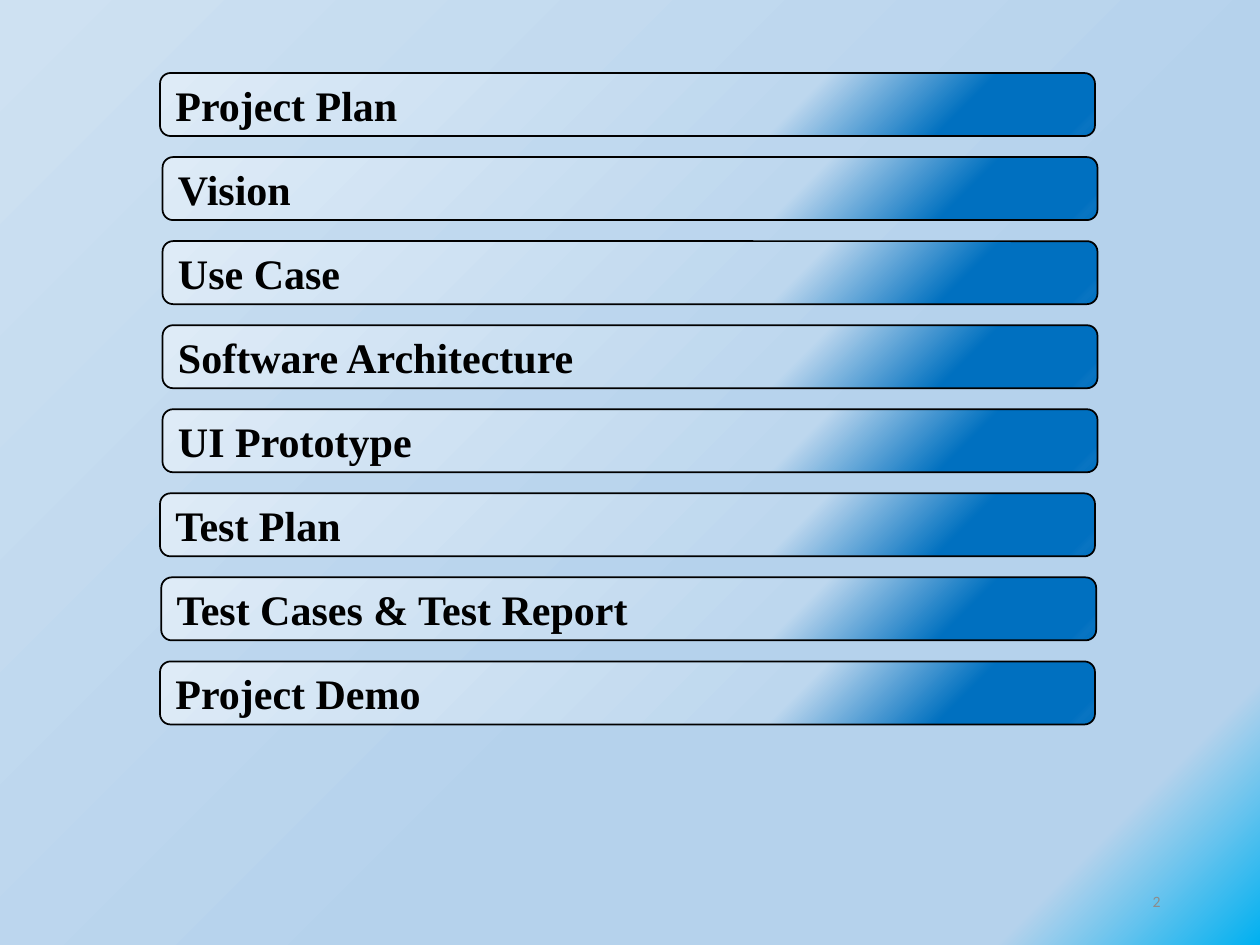
"""Build an agenda slide with eight gradient bars on a gradient background."""
from lxml import etree
from pptx import Presentation
from pptx.dml.color import RGBColor
from pptx.enum.shapes import MSO_SHAPE as Shape
from pptx.enum.text import MSO_ANCHOR as Anchor, PP_ALIGN as Align
from pptx.oxml.ns import qn
from pptx.util import Inches, Pt

BACKGROUND_STOPS = [(0, "00B0F0"), (12, "B5D2EC"), (39, "B5D2EC"), (100, "CEE1F2")]
BAR_STOPS = [(0, "DEEBF7"), (67, "BDD7EE"), (84, "0171C0"), (97, "0070C0"),
             (98, "0874C2"), (100, "0070C0"), (100, "255E91")]
BARS = [("Project Plan", 1.27), ("Vision", 1.29), ("Use Case", 1.29),
        ("Software Architecture", 1.29), ("UI Prototype", 1.29), ("Test Plan", 1.27),
        ("Test Cases & Test Report", 1.28), ("Project Demo", 1.27)]
FIRST_TOP, LAST_TOP = 0.58, 5.25


def color(value):
    return RGBColor.from_string(value)


class SlideBuilder:
    def __init__(self, slide):
        self.slide = slide
        self.heading_font = "Times New Roman"
        self.number_font = "Calibri"
        self.ink = "000000"
        self.muted = "8C8C8C"

    def gradient(self, fill, element, stops):
        fill.gradient()
        grad = next(element.iter(qn("a:gradFill")))
        for child in list(grad):
            grad.remove(child)
        gs_list = etree.SubElement(grad, qn("a:gsLst"))
        for position, value in stops:
            gs = etree.SubElement(gs_list, qn("a:gs"), pos=str(position * 1000))
            etree.SubElement(gs, qn("a:srgbClr"), val=value)
        return grad

    def background(self, stops, angle):
        grad = self.gradient(self.slide.background.fill, self.slide.element, stops)
        etree.SubElement(grad, qn("a:lin"), ang=str(angle * 60000), scaled="0")

    def text(self, shape, text, size, font, value, align, bold=False):
        tf = shape.text_frame
        tf.word_wrap = True
        tf.vertical_anchor = Anchor.MIDDLE
        tf.text = text
        p = tf.paragraphs[0]
        p.alignment = align
        r = p.runs[0]
        r.font.size = Pt(size)
        r.font.name = font
        r.font.bold = bold
        r.font.color.rgb = color(value)

    def bar(self, text, left, top):
        sp = self.slide.shapes.add_shape(
            Shape.ROUNDED_RECTANGLE, Inches(left), Inches(top), Inches(7.42), Inches(0.5))
        sp.shadow.inherit = False
        grad = self.gradient(sp.fill, sp.element, BAR_STOPS)
        circle = etree.SubElement(grad, qn("a:path"), path="circle")
        etree.SubElement(circle, qn("a:fillToRect"), r="100000", b="100000")
        sp.line.color.rgb = color(self.ink)
        sp.line.width = Pt(1)
        self.text(sp, text, 24, self.heading_font, self.ink, Align.LEFT, bold=True)

    def page_number(self, text):
        box = self.slide.shapes.add_textbox(
            Inches(7.06), Inches(6.95), Inches(2.25), Inches(0.4))
        self.text(box, text, 9, self.number_font, self.muted, Align.RIGHT)


def main():
    prs = Presentation()
    prs.slide_width, prs.slide_height = Inches(10), Inches(7.5)
    s = SlideBuilder(prs.slides.add_slide(prs.slide_layouts[6]))
    s.background(BACKGROUND_STOPS, 225)
    pitch = (LAST_TOP - FIRST_TOP) / (len(BARS) - 1)
    for i, (text, left) in enumerate(BARS):
        s.bar(text, left, FIRST_TOP + i * pitch)
    s.page_number("2")
    prs.save("out.pptx")


if __name__ == "__main__":
    main()
